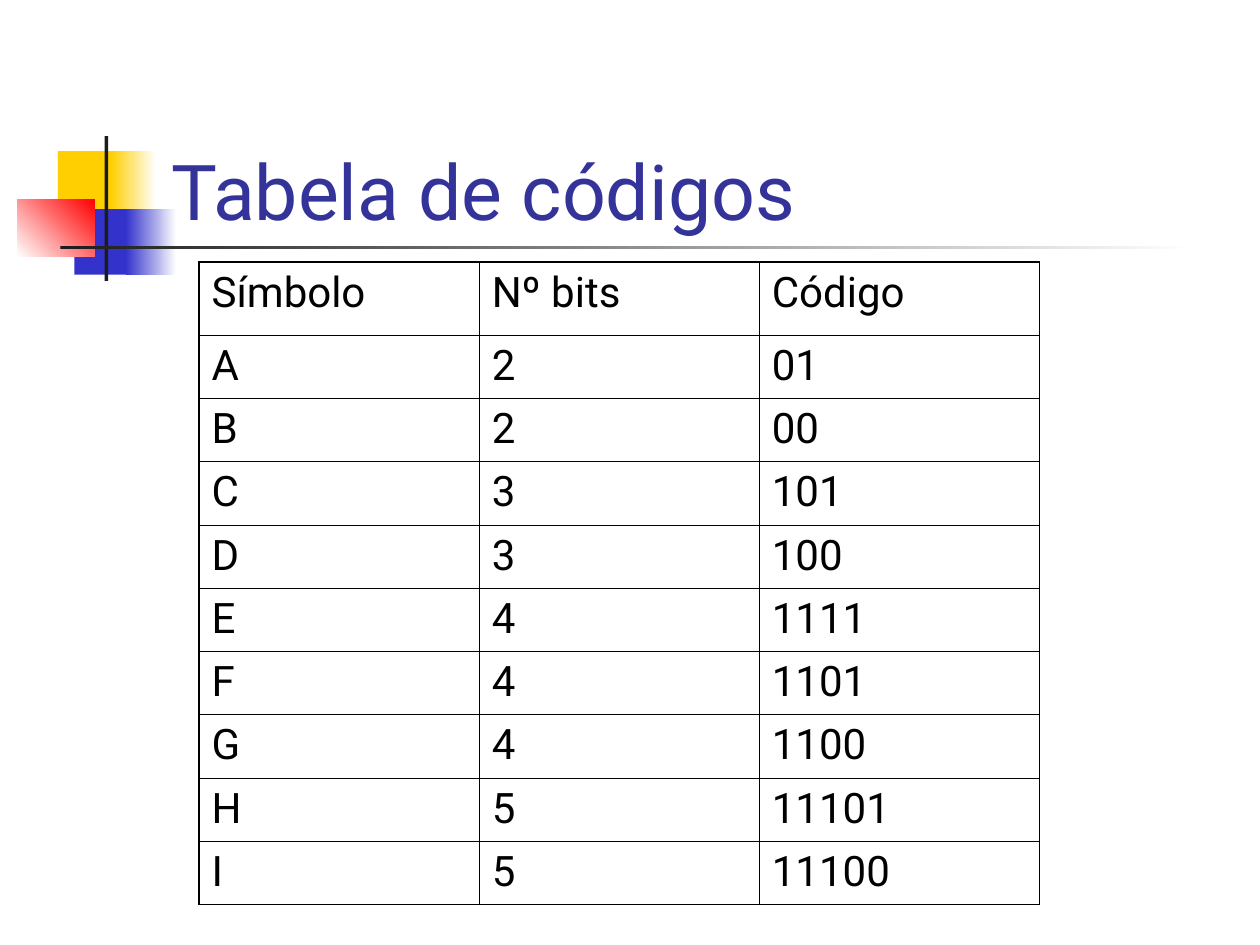
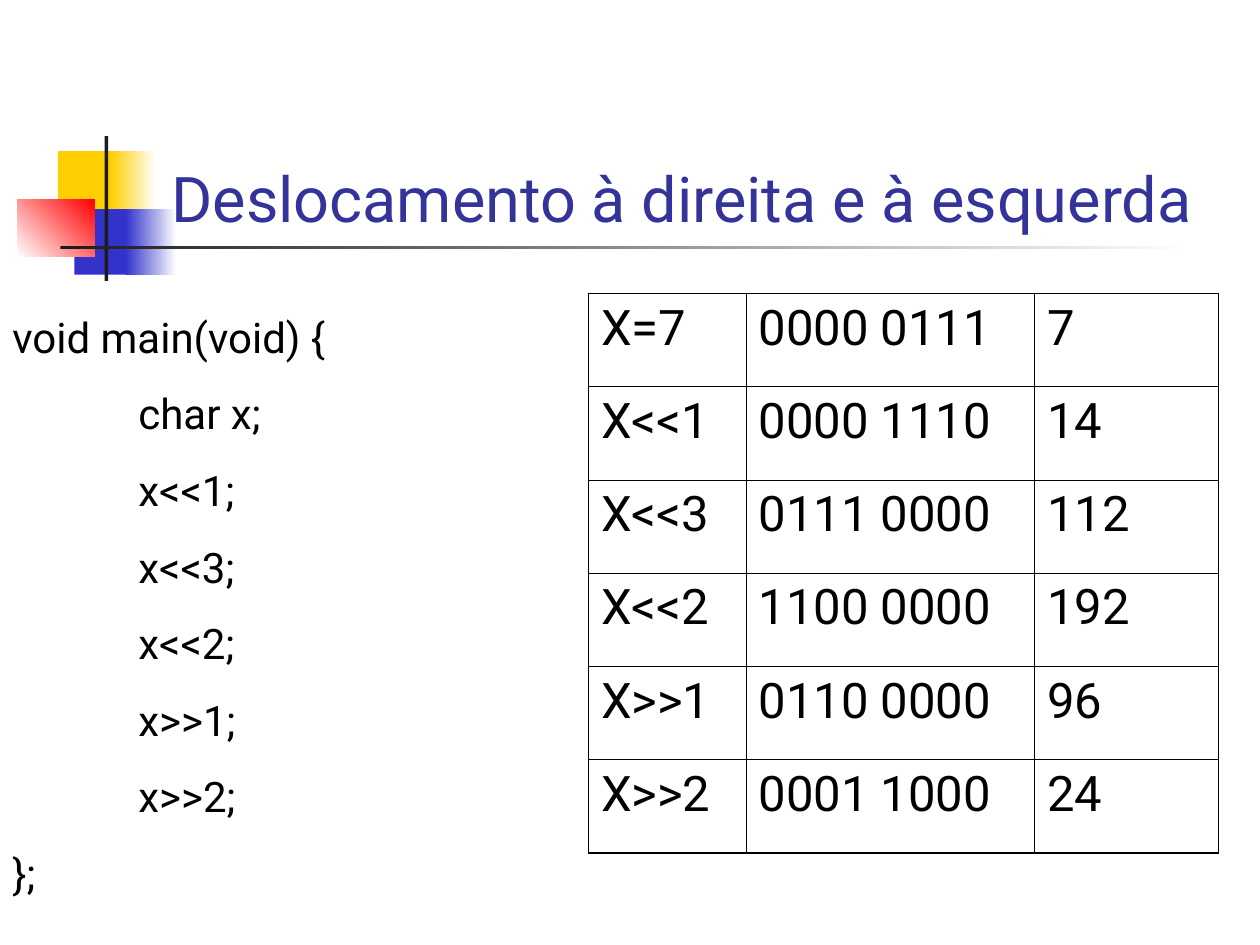
import pptx
import pptx.dml.color
import pptx.enum.shapes
import pptx.enum.text
import pptx.oxml
import pptx.oxml.ns
import pptx.util
from pptx.util import Inches

FONT = "Roboto"
COLORS = {
    "title": "333399", "text": "000000", "yellow": "FFCF01", "blue": "3333CC",
    "red": "FF0000", "bar": "1C1C1C", "white": "FFFFFF",
}
# Left, top, width, height, colours (two make a gradient), gradient angle
ORNAMENTS = [
    (0.46, 1.2, 0.48, 0.52, ["yellow"], 0),
    (0.88, 1.2, 0.36, 0.52, ["yellow", "white"], 0),
    (0.59, 1.66, 0.46, 0.52, ["blue"], 0),
    (1, 1.66, 0.4, 0.52, ["blue", "white"], 0),
    (0.14, 1.58, 0.61, 0.46, ["white", "red"], 45),
    (0.83, 1.08, 0.03, 1.15, ["bar"], 0),
    (0.48, 1.95, 9, 0.03, ["bar", "white"], 0),
]
CODE_TABLE = [
    ("Símbolo", "Nº bits", "Código"),
    ("A", "2", "01"),
    ("B", "2", "00"),
    ("C", "3", "101"),
    ("D", "3", "100"),
    ("E", "4", "1111"),
    ("F", "4", "1101"),
    ("G", "4", "1100"),
    ("H", "5", "11101"),
    ("I", "5", "11100"),
]
SHIFT_TABLE = [
    ("X=7", "0000 0111", "7"),
    ("X<<1", "0000 1110", "14"),
    ("X<<3", "0111 0000", "112"),
    ("X<<2", "1100 0000", "192"),
    ("X>>1", "0110 0000", "96"),
    ("X>>2", "0001 1000", "24"),
]
# Indent level and text
PROGRAM = [
    (0, "void main(void) {"),
    (1, "char x;"),
    (1, "x<<1;"),
    (1, "x<<3;"),
    (1, "x<<2;"),
    (1, "x>>1;"),
    (1, "x>>2;"),
    (0, "};"),
]
OUTER_LINE, INNER_LINE = 1.08, 0.45


def rgb(name):
    return pptx.dml.color.RGBColor.from_string(COLORS[name])


def write(para, text, size, color="text", space_before=0):
    para.text = text
    para.space_before = pptx.util.Pt(space_before)
    para.alignment = pptx.enum.text.PP_ALIGN.LEFT
    for span in para.runs:
        span.font.name = FONT
        span.font.size = pptx.util.Pt(size)
        span.font.color.rgb = rgb(color)


def add_ornament(page, left, top, width, height, colors, angle):
    shape = page.shapes.add_shape(
        pptx.enum.shapes.MSO_SHAPE.RECTANGLE,
        Inches(left), Inches(top), Inches(width), Inches(height))
    shape.shadow.inherit = False
    shape.line.fill.background()
    if len(colors) == 1:
        shape.fill.solid()
        shape.fill.fore_color.rgb = rgb(colors[0])
        return
    shape.fill.gradient()
    shape.fill.gradient_angle = angle
    for stop, color in zip(shape.fill.gradient_stops, colors):
        stop.color.rgb = rgb(color)


def add_page(deck, title_text, size):
    page = deck.slides.add_slide(deck.slide_layouts[5])
    for ornament in ORNAMENTS:
        add_ornament(page, *ornament)
    title = page.shapes.title
    title.left, title.top = Inches(1.26), Inches(0.67)
    title.width, title.height = Inches(8.52), Inches(1.25)
    frame = title.text_frame
    frame.auto_size = pptx.enum.text.MSO_AUTO_SIZE.NONE
    frame.vertical_anchor = pptx.enum.text.MSO_ANCHOR.BOTTOM
    write(frame.paragraphs[0], title_text, size, "title")
    page.shapes._spTree.append(title._element)  # title in front of ornaments
    return page


def set_borders(cell, widths):
    """Draw the cell's edges; widths in points for left, right, top, bottom."""
    properties = cell._tc.get_or_add_tcPr()
    for side, width in zip("LRTB", widths):
        properties.append(pptx.oxml.parse_xml(
            f'<a:ln{side} {pptx.oxml.ns.nsdecls("a")} w="{pptx.util.Pt(width)}">'
            f'<a:solidFill><a:srgbClr val="{COLORS["text"]}"/></a:solidFill>'
            f'</a:ln{side}>'))


def add_grid(page, rows, left, top, widths, heights, size, space_before):
    table = page.shapes.add_table(
        len(rows), len(widths), Inches(left), Inches(top),
        Inches(sum(widths)), Inches(sum(heights))).table
    table.first_row = table.horz_banding = False
    for column, width in zip(table.columns, widths):
        column.width = Inches(width)
    for row, height in zip(table.rows, heights):
        row.height = Inches(height)
    last_row, last_column = len(rows) - 1, len(widths) - 1
    for i, values in enumerate(rows):
        for j, value in enumerate(values):
            cell = table.cell(i, j)
            at_edge = (j == 0, j == last_column, i == 0, i == last_row)
            set_borders(cell, [OUTER_LINE if edge else INNER_LINE for edge in at_edge])
            cell.fill.background()
            write(cell.text_frame.paragraphs[0], value, size,
                  space_before=space_before)


def add_program(page):
    box = page.shapes.add_textbox(Inches(0), Inches(2.42), Inches(4.42), Inches(4.76))
    frame = box.text_frame
    frame.word_wrap = True
    for i, (level, line) in enumerate(PROGRAM):
        para = frame.add_paragraph() if i else frame.paragraphs[0]
        write(para, line, 24, space_before=15)
        para._p.get_or_add_pPr().set("marL", str(Inches(level)))


def main():
    deck = pptx.Presentation()
    deck.slide_width, deck.slide_height = Inches(10), Inches(7.5)

    page = add_page(deck, "Tabela de códigos", 44)
    body_rows = len(CODE_TABLE) - 1
    add_grid(page, CODE_TABLE, 1.58, 2.08, [6.67 / 3] * 3,
             [0.58] + [4.52 / body_rows] * body_rows, 24, 6)

    page = add_page(deck, "Deslocamento à direita e à esquerda", 36)
    add_grid(page, SHIFT_TABLE, 4.67, 2.33, [1.25, 2.29, 1.46],
             [0.74] * len(SHIFT_TABLE), 28, 7)
    add_program(page)

    deck.save("out.pptx")


if __name__ == "__main__":
    main()
